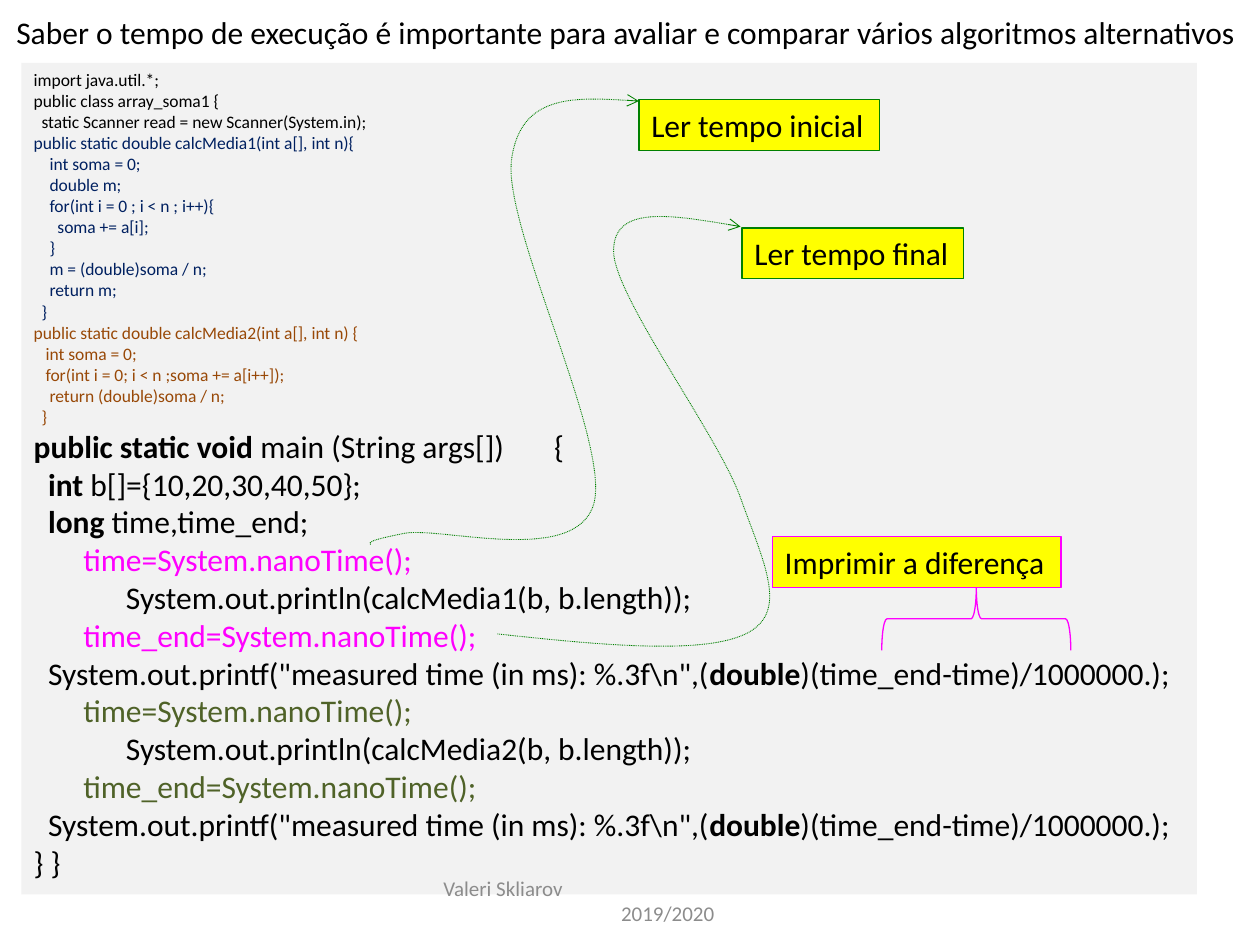
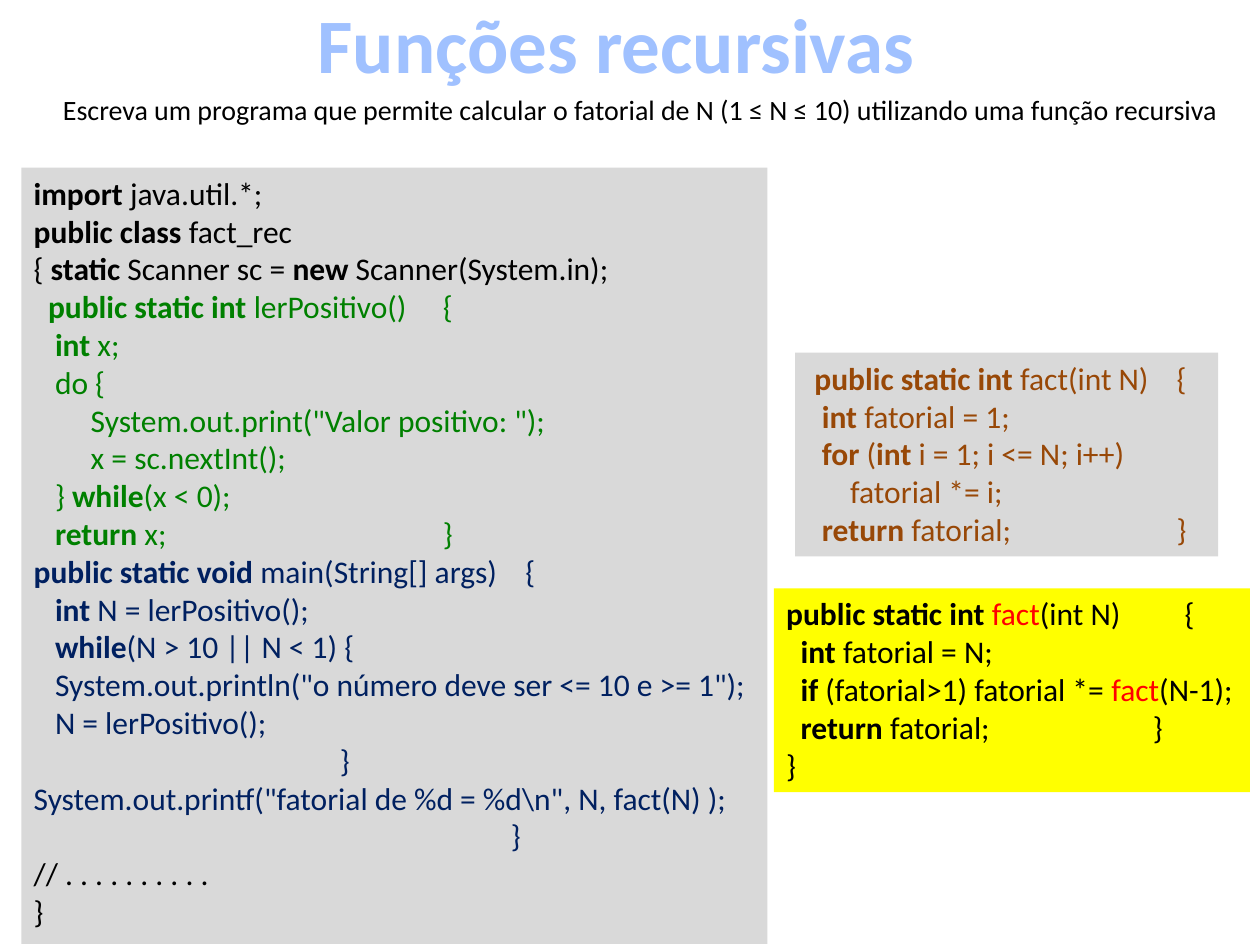
from lxml import etree
from pptx import Presentation
from pptx.dml.color import RGBColor
from pptx.enum.dml import MSO_LINE
from pptx.enum.shapes import MSO_SHAPE
from pptx.enum.text import MSO_ANCHOR, PP_ALIGN
from pptx.oxml import parse_xml
from pptx.oxml.ns import nsdecls, qn
from pptx.util import Cm, Pt

RECTANGLE, LEFT_BRACE = MSO_SHAPE.RECTANGLE, MSO_SHAPE.LEFT_BRACE
LEFT, CENTER = PP_ALIGN.LEFT, PP_ALIGN.CENTER
TOP, MIDDLE = MSO_ANCHOR.TOP, MSO_ANCHOR.MIDDLE
DOTTED = MSO_LINE.ROUND_DOT

FONT = "Calibri"
BLACK, RED, YELLOW, MAGENTA = "000000", "FF0000", "FFFF00", "FF00FF"
GREEN, NAVY, BROWN, OLIVE = "008000", "002060", "984807", "4F6228"
PALE_GRAY, GRAY, FOOTER_GRAY = "F2F2F2", "D9D9D9", "8C8C8C"
TITLE_OUTLINE = "467AB8"
TITLE_GRADIENT = [(0, "BFD3F9"), (9, "A0C1FF"), (50, "003D85"),
                  (79, "A0C1FF"), (100, "BFD3F9")]
SPACE_CM = 0.00797  # width of a space for each point of text size


def rgb(value):
    """Turn a hex string into a colour."""
    return RGBColor.from_string(value)


def write(paragraph, text, size=18, color=BLACK, bold=False, align=LEFT,
          indent=0, tabs=()):
    """Write text; ** switches bold and ~ switches the red accent."""
    paragraph.alignment = align
    properties = paragraph._p.get_or_add_pPr()
    if indent:
        properties.set("marL", str(Cm(indent)))
        properties.set("indent", "0")
    if tabs:
        stops = etree.SubElement(properties, qn("a:tabLst"))
        for position in tabs:
            etree.SubElement(stops, qn("a:tab"), pos=str(Cm(position)), algn="l")
    for i, weighted in enumerate(text.split("**")):
        for j, piece in enumerate(weighted.split("~")):
            if piece:
                run = paragraph.add_run()
                run.text = piece
                run.font.name, run.font.size = FONT, Pt(size)
                run.font.bold = bold or i % 2 == 1
                run.font.color.rgb = rgb(RED if j % 2 else color)


def next_paragraph(frame):
    """Return the empty first paragraph of a frame, or a new one."""
    first = frame.paragraphs[0]
    return frame.add_paragraph() if first.runs else first


def text_area(slide, box, anchor=TOP):
    """Add a wrapping text box and return its frame."""
    frame = slide.shapes.add_textbox(*map(Cm, box)).text_frame
    frame.word_wrap, frame.vertical_anchor = True, anchor
    return frame


def style(shape, fill=None, line=None, width=0.75):
    """Set fill and outline, and drop the shadow."""
    shape.shadow.inherit = False
    if fill:
        shape.fill.solid()
        shape.fill.fore_color.rgb = rgb(fill)
    else:
        shape.fill.background()
    if line:
        shape.line.color.rgb = rgb(line)
        shape.line.width = Pt(width)
    else:
        shape.line.fill.background()


def panel(slide, box, fill, line=None):
    """Add a filled rectangle and return its text frame."""
    shape = slide.shapes.add_shape(RECTANGLE, *map(Cm, box))
    style(shape, fill, line)
    frame = shape.text_frame
    frame.word_wrap, frame.vertical_anchor = True, TOP
    return frame


def code_panel(slide, box, fill, blocks):
    """Show code blocks of (text, colour, size, brace position)."""
    frame = panel(slide, box, fill)
    for text, color, size, brace in blocks:
        for line in text.strip("\n").split("\n"):
            code = line.lstrip(" ")
            indent = round((len(line) - len(code)) * size * SPACE_CM, 2)
            tabs = ()
            if "\t" in code:  # a trailing brace is set at a tab stop
                tabs = (indent, brace) if indent else (brace,)
                code = "\t" + code if indent else code
                indent = 0
            write(next_paragraph(frame), code, size=size, color=color,
                  indent=indent, tabs=tabs)


def note(slide, box, text, line):
    """Add a yellow label."""
    write(next_paragraph(panel(slide, box, YELLOW, line)), text)


def curve(slide, points, color):
    """Draw a dotted arrow along cubic curves through control points."""
    points = [(Cm(x), Cm(y)) for x, y in points]
    builder = slide.shapes.build_freeform(*points[0])
    builder.add_line_segments(points[1:], close=False)
    shape = builder.convert_to_shape()
    style(shape, line=color, width=0.5)
    shape.line.dash_style = DOTTED
    segments = list(shape._element.iter(qn("a:lnTo")))
    for start in range(0, len(segments), 3):
        bezier = etree.Element(qn("a:cubicBezTo"))
        segments[start].addprevious(bezier)
        for segment in segments[start:start + 3]:
            bezier.append(segment[0])
            segment.getparent().remove(segment)
    etree.SubElement(shape.line._get_or_add_ln(), qn("a:tailEnd"), type="arrow")


def timing_note(slide, box, text, trail):
    """Add a label with a curve whose points are relative to its corner."""
    left, top = box[:2]
    curve(slide, [(left + x, top + y) for x, y in trail], GREEN)
    note(slide, box, text, GREEN)


def difference_note(slide, box, text):
    """Add a label with a brace opening below it."""
    left, top, _, height = box
    depth, span = 1.27, 3.81
    center_x, center_y = left + 4.11, top + height + depth / 2
    brace = slide.shapes.add_shape(
        LEFT_BRACE, Cm(center_x - depth / 2), Cm(center_y - span / 2),
        Cm(depth), Cm(span))
    brace.rotation = 90
    style(brace, line=MAGENTA)
    note(slide, box, text, MAGENTA)


def footer(slide, box):
    """Add author and school year on two staggered lines."""
    frame = text_area(slide, box, MIDDLE)
    for text, indent in (("Valeri Skliarov", 0), ("2019/2020", 3.58)):
        write(next_paragraph(frame), text, size=12, color=FOOTER_GRAY,
              indent=indent)


def gradient_title(slide, box, text):
    """Add a large outlined title with a gradient fill."""
    paragraph = next_paragraph(text_area(slide, box))
    write(paragraph, text, size=44, bold=True, align=CENTER)
    properties = paragraph.runs[0].font._element
    properties.remove(properties.find(qn("a:solidFill")))
    stops = "".join(f'<a:gs pos="{at * 1000}"><a:srgbClr val="{color}"/></a:gs>'
                    for at, color in TITLE_GRADIENT)
    properties.insert(0, parse_xml(
        f'<a:gradFill {nsdecls("a")}><a:gsLst>{stops}</a:gsLst>'
        '<a:lin ang="5400000" scaled="0"/></a:gradFill>'))
    properties.insert(0, parse_xml(
        f'<a:ln {nsdecls("a")} w="{Pt(0.83)}"><a:solidFill>'
        f'<a:srgbClr val="{TITLE_OUTLINE}"/></a:solidFill></a:ln>'))


def measured_call(number, color):
    """Return the code blocks that time one version of calcMedia."""
    return [
        ("       time=System.nanoTime();", color, 18, None),
        (f"             System.out.println(calcMedia{number}(b, b.length));",
         BLACK, 18, None),
        ("       time_end=System.nanoTime();", color, 18, None),
        (r'  System.out.printf("measured time (in ms): %.3f\n",'
         "(**double**)(time_end-time)/1000000.);", BLACK, 18, None),
    ]


HEADER_CODE = """
import java.util.*;
public class array_soma1 {
  static Scanner read = new Scanner(System.in);
"""
MEDIA1_CODE = """
public static double calcMedia1(int a[], int n){
    int soma = 0;
    double m;
    for(int i = 0 ; i < n ; i++){
      soma += a[i];
    }
    m = (double)soma / n;
    return m;
  }
"""
MEDIA2_CODE = """
public static double calcMedia2(int a[], int n) {
   int soma = 0;
   for(int i = 0; i < n ;soma += a[i++]);
    return (double)soma / n;
  }
"""
MAIN_CODE = """
**public static void **main (String args[])\t{
  **int** b[]={10,20,30,40,50};
  **long **time,time_end;
"""
FACT_HEADER = """
**import **java.util.*;
**public class **fact_rec
{ **static** Scanner sc = **new** Scanner(System.in);
"""
READ_CODE = """
  **public static int **lerPositivo()\t{
   **int** x;
   do {
        System.out.print("Valor positivo: ");
        x = sc.nextInt();
   } **while**(x < 0);
   **return** x;\t}
"""
FACT_MAIN = """
**public static void **main(String[] args)\t{
   **int** N = lerPositivo();
   **while**(N > 10 || N < 1) {
   System.out.println("o número deve ser <= 10 e >= 1");
   N = lerPositivo();
"""
FACT_PRINT = r"""
System.out.printf("fatorial de %d = %d\n", N, fact(N) );
"""
LOOP_CODE = """
 **public static int** fact(int N)\t{
  **int **fatorial = 1;
  **for** (**int **i = 1; i <= N; i++)
      fatorial *= i;
  **return **fatorial;\t}
"""
RECURSIVE_CODE = """
  **int **fatorial = N;
  **if** (fatorial>1) fatorial *= ~fact~(N-1);
  **return **fatorial;\t}
}
"""
START_TRAIL = [
    (-5.41, 8.97), (-5.44, 8.92), (-5.46, 8.89), (-4.72, 8.74),
    (-3.96, 8.61), (-1.27, 9.4), (-0.91, 8.15),
    (-0.56, 6.91), (-2.72, 2.62), (-2.57, 1.24),
    (-2.41, -0.1), (-1.19, -0.05), (0, 0.03)]
END_TRAIL = [
    (-4.93, 8.18), (-2.82, 8.41), (-0.71, 8.61), (0.13, 8.15),
    (0.94, 7.7), (0.43, 6.73), (-0.03, 5.44),
    (-0.48, 4.17), (-2.59, 1.37), (-2.59, 0.46),
    (-2.59, -0.46), (-1.32, -0.25), (-0.03, -0.03)]


def timing_slide(slide):
    """Measure and compare the run time of two functions."""
    code_panel(slide, (0.43, 1.27, 23.7, 16.76), PALE_GRAY, [
        (HEADER_CODE, BLACK, 10, None), (MEDIA1_CODE, NAVY, 10, None),
        (MEDIA2_CODE, BROWN, 10, None), (MAIN_CODE, BLACK, 18, 10.49),
        *measured_call(1, MAGENTA), *measured_call(2, OLIVE),
        ("} }", BLACK, 18, None)])
    write(next_paragraph(text_area(slide, (0.08, 0.13, 25.35, 1.02))),
          "Saber o tempo de execução é importante para avaliar e comparar "
          "vários algoritmos alternativos")
    timing_note(slide, (12.88, 2.01, 4.85, 1.02), "Ler tempo inicial", START_TRAIL)
    timing_note(slide, (14.96, 4.6, 4.47, 1.02), "Ler tempo final", END_TRAIL)
    difference_note(slide, (15.57, 10.82, 5.82, 1.02), "Imprimir a diferença")
    footer(slide, (8.69, 17.65, 8.05, 1.02))


def recursion_slide(slide):
    """Compare a loop and a recursive factorial."""
    gradient_title(slide, (6.1, -0.2, 12.65, 2.13), "Funções recursivas")
    code_panel(slide, (0.43, 3.38, 15.04, 15.65), GRAY, [
        (FACT_HEADER, BLACK, 18, None), (READ_CODE, GREEN, 18, 8.25),
        (FACT_MAIN, NAVY, 18, 9.91), ("\t}", NAVY, 18, 6.17),
        (FACT_PRINT, NAVY, 18, None), ("\t}", NAVY, 18, 9.62),
        ("// . . . . . . . . . .\n}", BLACK, 18, None)])
    write(next_paragraph(text_area(slide, (0, 1.75, 25.4, 0.94))),
          "Escreva um programa que permite calcular o fatorial de N "
          "(1 ≤ N ≤ 10) utilizando uma função recursiva", size=16, indent=1.02)
    code_panel(slide, (15.6, 11.86, 9.6, 4.11), YELLOW, [
        ("**public static int **~fact~(int N)\t{", BLACK, 18, 8.03),
        (RECURSIVE_CODE, BLACK, 18, 7.39)])
    code_panel(slide, (16.03, 7.11, 8.53, 4.11), GRAY,
               [(LOOP_CODE, BROWN, 18, 7.44)])


deck = Presentation()
deck.slide_width, deck.slide_height = Cm(25.4), Cm(19.05)
for build in (timing_slide, recursion_slide):
    build(deck.slides.add_slide(deck.slide_layouts[6]))
deck.save("out.pptx")
